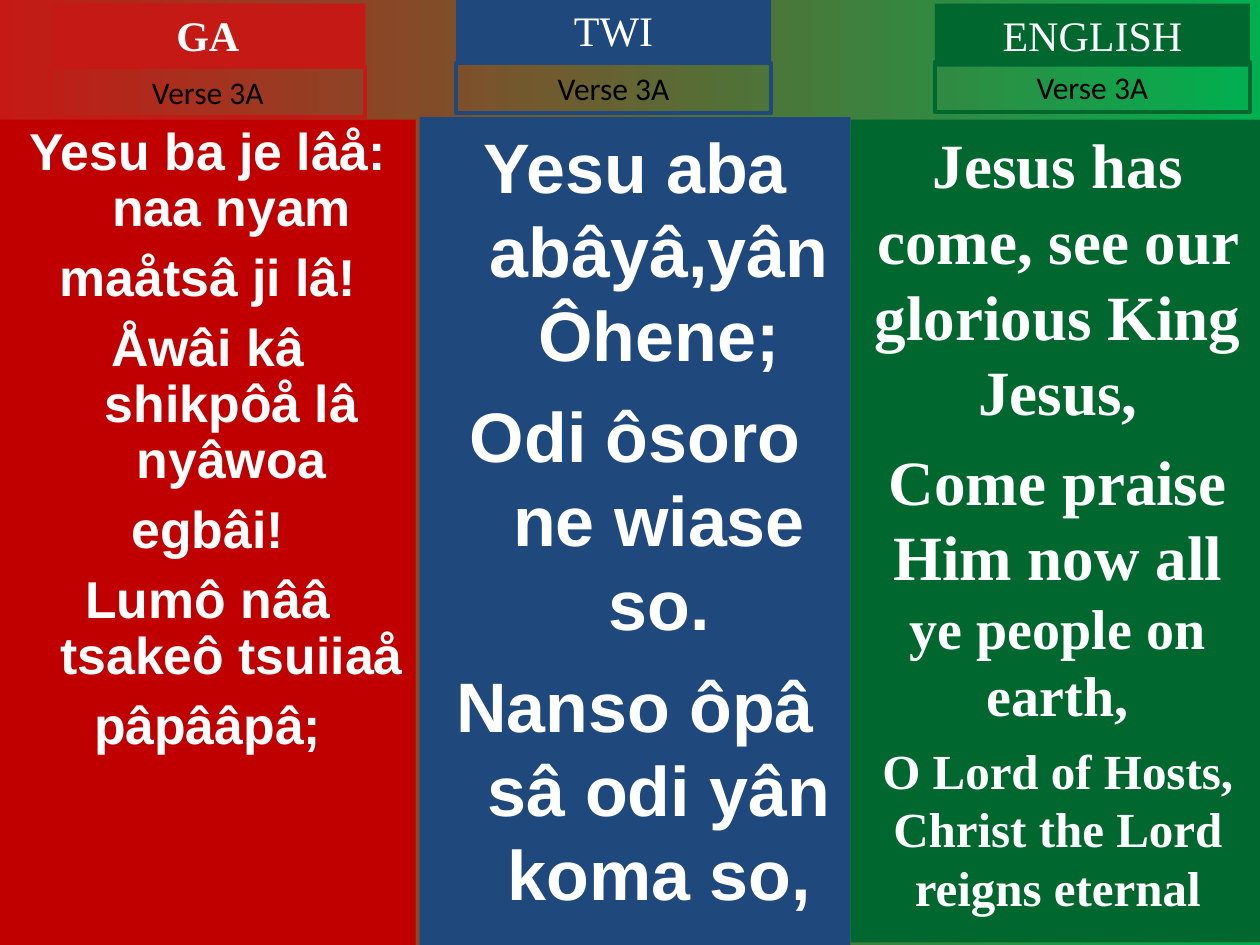
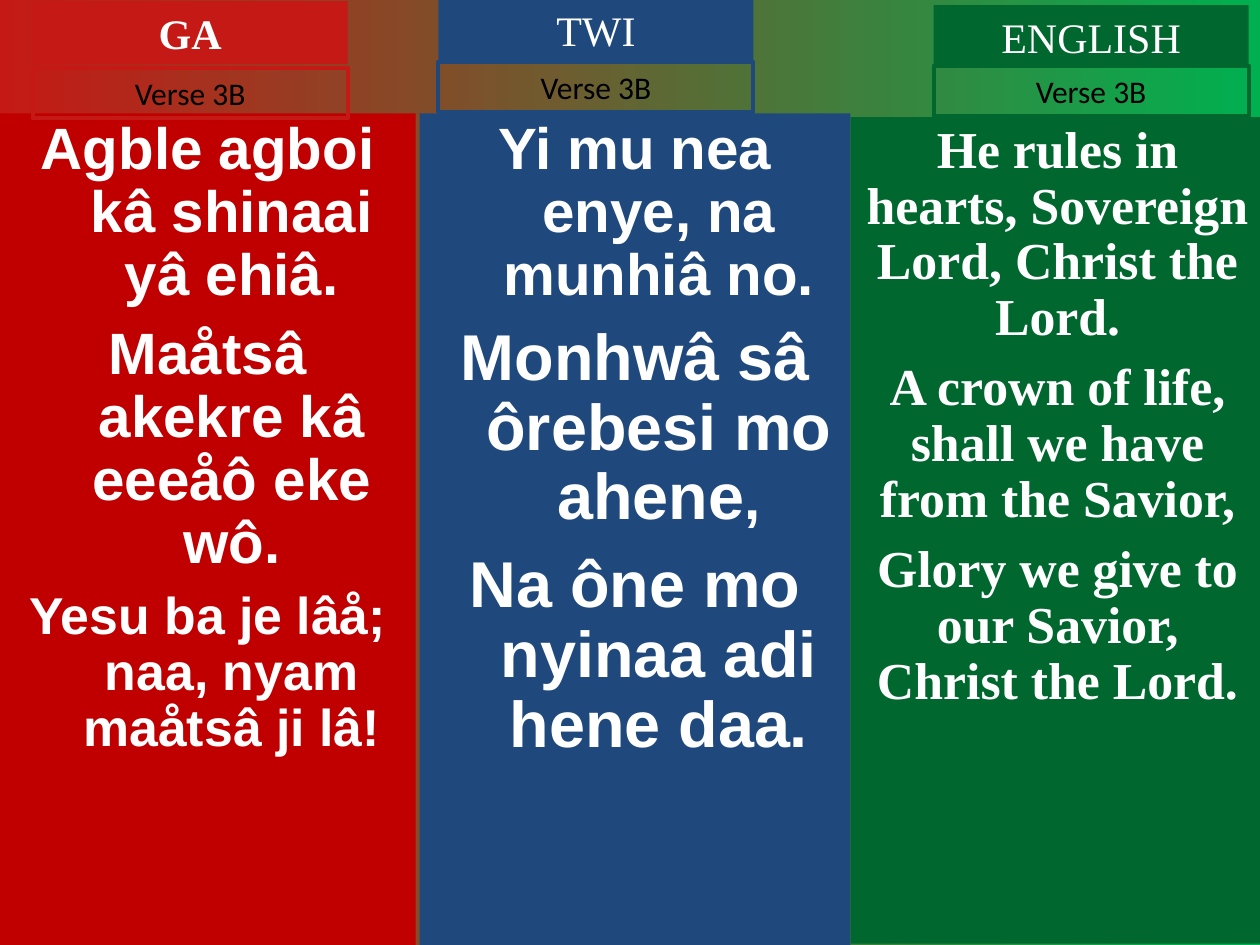
from collections import namedtuple

from pptx import Presentation
from pptx.dml.color import RGBColor
from pptx.enum import shapes, text
from pptx.util import Inches, Pt

Language = namedtuple("Language", "name panel accent font left width hang bold")
Column = namedtuple("Column", "top height title_left title_top tag_top line_spacing verses")

HEADING_FONT, TAG_FONT = "Times New Roman", "Calibri"
WHITE, BLACK = "FFFFFF", "000000"
BACKGROUND = ("C51915", "00B050")
TITLE_W, TITLE_H, TAG_H = 2.5, 0.5, 0.4

LANGUAGES = [
    Language("GA", "C00000", "C51915", "Arial", 0, 3.3, 0.38, True),
    Language("TWI", "1F497D", "1F497D", "Arial", 3.33, 3.42, 0.38, False),
    Language("ENGLISH", "00682F", "00682F", "Times New Roman", 6.75, 3.29, 0, False),
]

# Each verse line is (space before, (text, size), ...).
VERSE_3A = [
    Column(0.95, 6.55, 0.4, 0.03, 0.53, 0.9, [
        (0, ("Yesu ba je lâå: naa nyam", 29.6)),
        (8, ("maåtsâ ji lâ!", 29.6)),
        (8, ("Åwâi kâ shikpôå lâ nyâwoa", 29.6)),
        (8, ("egbâi!", 29.6)),
        (8, ("Lumô nââ tsakeô tsuiiaå", 29.6)),
        (8, ("pâpââpâ;", 29.6)),
    ]),
    Column(0.93, 6.57, 3.62, -0.01, 0.5, 1.0, [
        (0, ("Yesu aba abâyâ,yân Ôhene;", 40)),
        (10, ("Odi ôsoro ne wiase so.", 40)),
        (10, ("Nanso ôpâ sâ odi yân koma so,", 40)),
    ]),
    Column(0.95, 6.53, 7.42, 0.03, 0.49, 1.0, [
        (0, ("Jesus has come, see our glorious King Jesus,", 36)),
        (8, ("Come praise Him now all ", 36), ("ye people on earth,", 32)),
        (7, ("O Lord of Hosts, Christ the Lord reigns eternal", 28)),
    ]),
]

VERSE_3B = [
    Column(0.9, 6.6, 0.26, 0.01, 0.54, 0.9, [
        (0, ("Agble agboi kâ shinaai yâ ehiâ.", 33.3)),
        (9, ("Maåtsâ akekre kâ eeeåô eke wô.", 33.3)),
        (8, ("Yesu ba je lâå; naa, nyam maåtsâ ji lâ!", 29.6)),
    ]),
    Column(0.9, 6.6, 3.48, -0.01, 0.49, 0.9, [
        (0, ("Yi mu nea enye, na munhiâ no.", 33.3)),
        (9, ("Monhwâ sâ ôrebesi mo ahene", 37), (",", 33.3)),
        (10, ("Na ône mo nyinaa adi hene daa.", 37)),
    ]),
    Column(0.93, 6.56, 7.41, 0.04, 0.52, 0.9, [
        (0, ("He rules in hearts, Sovereign Lord, Christ the Lord.", 29.6)),
        (8, ("A crown of life, shall we have from the Savior,", 29.6)),
        (8, ("Glory we give to our Savior, Christ the Lord.", 29.6)),
    ]),
]


def rgb(value):
    """Turn a hex string into a colour."""
    return RGBColor.from_string(value)


def style(p, font, color, bold=False):
    """Centre a paragraph and set its font."""
    p.alignment = text.PP_ALIGN.CENTER
    p.font.name = font
    p.font.bold = bold
    p.font.color.rgb = rgb(color)


def add_box(s, left, top, width, height, fill=None, line=None):
    """Add a flat rectangle and return its top-anchored text frame."""
    sp = s.shapes.add_shape(shapes.MSO_SHAPE.RECTANGLE, Inches(left), Inches(top),
                            Inches(width), Inches(height))
    sp.shadow.inherit = False
    if fill:
        sp.fill.solid()
        sp.fill.fore_color.rgb = rgb(fill)
    else:
        sp.fill.background()
    if line:
        sp.line.color.rgb = rgb(line)
        sp.line.width = Pt(2.25)
    else:
        sp.line.fill.background()
    tf = sp.text_frame
    tf.word_wrap = True
    tf.vertical_anchor = text.MSO_ANCHOR.TOP
    return tf


def add_label(tf, label, size, font, color, bold=False):
    """Fill a heading box with one line."""
    p = tf.paragraphs[0]
    p.text = label
    style(p, font, color, bold)
    p.font.size = Pt(size)


def add_panel(s, language, column):
    """Add the coloured panel that holds the verse lines."""
    tf = add_box(s, language.left, column.top, language.width, column.height, language.panel)
    for i, (space, *runs) in enumerate(column.verses):
        p = tf.add_paragraph() if i else tf.paragraphs[0]
        if language.hang:
            pPr = p._p.get_or_add_pPr()
            pPr.set("marL", str(Inches(language.hang)))
            pPr.set("indent", str(-Inches(language.hang)))
        p.line_spacing = column.line_spacing
        p.space_before = Pt(space)
        style(p, language.font, WHITE, True)
        for words, size in runs:
            r = p.add_run()
            r.text = words
            r.font.size = Pt(size)


def add_heading(s, language, column, verse):
    """Add the language title and the verse tag below it."""
    left = column.title_left
    title = add_box(s, left, column.title_top, TITLE_W, TITLE_H, fill=language.accent)
    add_label(title, language.name, 24, HEADING_FONT, WHITE, language.bold)
    tag = add_box(s, left, column.tag_top, TITLE_W, TAG_H, line=language.accent)
    add_label(tag, verse, 18, TAG_FONT, BLACK)


def add_verse_slide(prs, verse, columns):
    """Add a slide with one column for each language."""
    s = prs.slides.add_slide(prs.slide_layouts[6])
    for language, column in zip(LANGUAGES, columns):
        add_panel(s, language, column)
        add_heading(s, language, column, verse)


def set_background(prs):
    """Give every slide the red to green gradient."""
    fill = prs.slide_master.background.fill
    fill.gradient()
    fill.gradient_angle = 0
    for stop, color, position in zip(fill.gradient_stops, BACKGROUND, (0, 1)):
        stop.color.rgb = rgb(color)
        stop.position = position


def main():
    """Build the hymn slides."""
    prs = Presentation()
    prs.slide_width, prs.slide_height = Inches(10), Inches(7.5)
    set_background(prs)
    add_verse_slide(prs, "Verse 3A", VERSE_3A)
    add_verse_slide(prs, "Verse 3B", VERSE_3B)
    prs.save("out.pptx")


if __name__ == "__main__":
    main()
